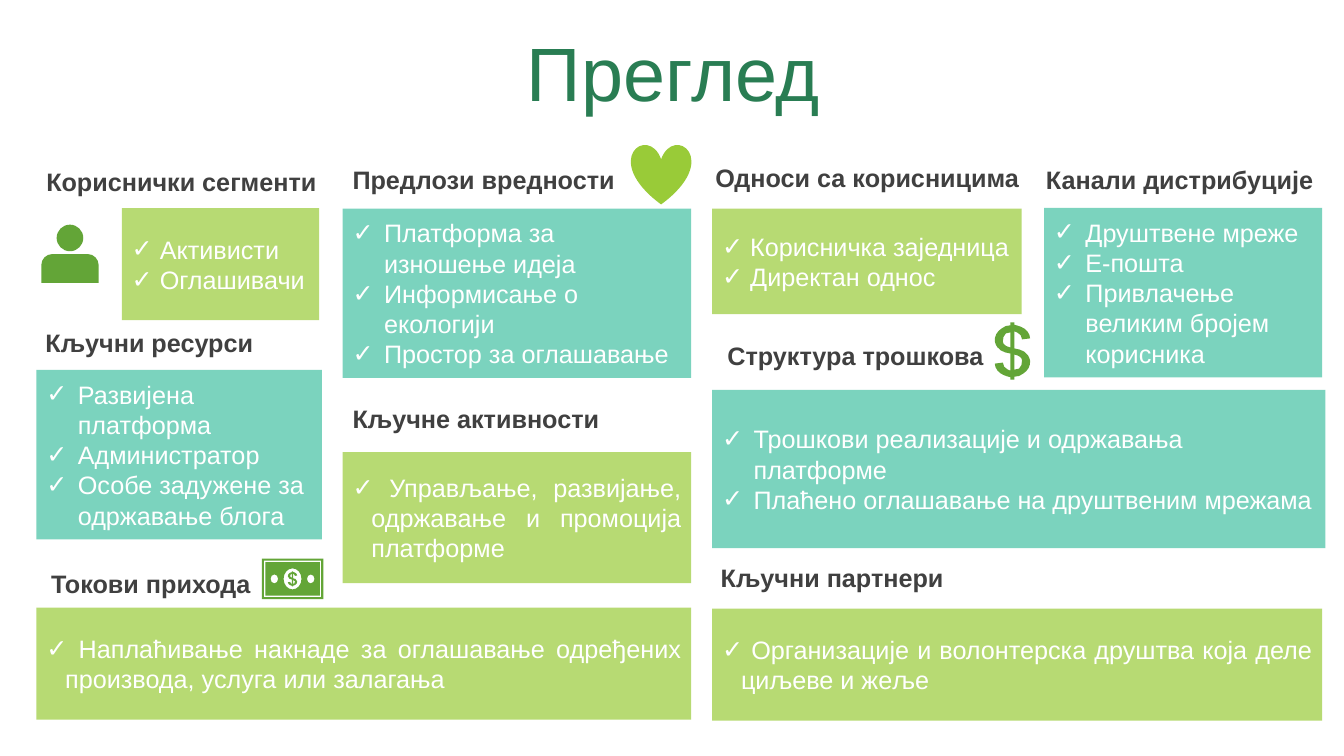
from lxml.etree import SubElement
from pptx import Presentation
from pptx.dml.color import RGBColor
from pptx.enum.shapes import MSO_SHAPE
from pptx.enum.text import MSO_ANCHOR, MSO_AUTO_SIZE, PP_ALIGN
from pptx.oxml.ns import qn
from pptx.util import Pt

WHITE = RGBColor(0xFF, 0xFF, 0xFF)
GRAY = RGBColor(0x40, 0x40, 0x40)
PINE = RGBColor(0x29, 0x7D, 0x53)
LIME = RGBColor(0x99, 0xCB, 0x38)
TEAL = RGBColor(0x44, 0xC1, 0xA3)
LEAF = RGBColor(0x63, 0xA5, 0x37)

TITLE = {"name": "Arial", "size": Pt(54), "bold": False}
LABEL = {"name": "Arial", "size": Pt(18), "bold": True}
ITEM = {"name": "Arial", "size": Pt(18), "bold": False}

LABELS = [
    ("Кориснички сегменти", 26, 115),
    ("Предлози вредности", 244.75, 114),
    ("Односи са корисницима", 504, 112.5),
    ("Канали дистрибуције", 740, 114),
    ("Кључни ресурси", 25.4, 230.5),
    ("Структура трошкова", 512.5, 239.5),
    ("Кључне активности", 244.75, 284.75),
    ("Токови прихода", 29.5, 402.5),
    ("Кључни партнери", 507.75, 398),
]

# Lime panels are justified with a narrow indent, teal ones left-aligned.
PANELS = [
    (LIME, (87, 148.75, 141, 80), ["Активисти", "Оглашивачи"]),
    (TEAL, (244.75, 149, 249, 121),
     ["Платформа за изношење идеја", "Информисање о екологији",
      "Простор за оглашавање"]),
    (LIME, (508.75, 149, 221, 75.5),
     ["Корисничка заједница", "Директан однос"]),
    (TEAL, (745.75, 148.5, 198.75, 121),
     ["Друштвене мреже", "Е-пошта", "Привлачење великим бројем корисника"]),
    (TEAL, (26, 264.25, 204, 121),
     ["Развијена платформа", "Администратор",
      "Особе задужене за одржавање блога"]),
    (LIME, (244.75, 323, 249, 93.5),
     ["Управљање, развијање, одржавање и промоција платформе"]),
    (TEAL, (508.75, 278.5, 438, 113),
     ["Трошкови реализације и одржавања платформе",
      "Плаћено оглашавање на друштвеним мрежама"]),
    (LIME, (26, 434, 467.75, 80),
     ["Наплаћивање накнаде за оглашавање одређених производа, "
      "услуга или залагања"]),
    (LIME, (508.75, 434.75, 435.75, 80),
     ["Организације и волонтерска друштва која деле циљеве и жеље"]),
]

# Half of the dollar sign about its centre; the other half is a half turn of it.
# Pairs are line ends, sixes are cubic curves.
HALF = [(-2, -28.5), (2, -28.5), (2, -26), (4, -25.5, 6, -25, 8.5, -24),
        (13.5, -22, 17.5, -17.5, 17.5, -12.5), (9.5, -11.5),
        (9.5, -14.5, 7.5, -17.5, 4.5, -18.5), (4, -19, 3, -19.5, 2, -19.5),
        (2, -2.5), (8.5, -1.5, 15.5, 0.5, 17.5, 9.5),
        (18, 14.5, 15.5, 19.5, 10.5, 22.5), (8, 24.5, 5.5, 25.5, 2, 25.5)]
BOWL = [(2, 3.5), (2, 18.5), (3.5, 18.5, 5, 18, 6.5, 17.5),
        (8.5, 15.5, 10, 12.5, 9.5, 9.5), (9.5, 6.5, 6.5, 4.5, 2, 3.5)]
TORSO = [(29.5, 202), (29.5, 189.5), (29.5, 185, 33, 181.5, 37.5, 181.5),
         (62.5, 181.5), (67, 181.5, 70.5, 185, 70.5, 189.5), (70.5, 202)]
ROUND = [(1, 0), (1, 0.55, 0.55, 1, 0, 1), (-0.55, 1, -1, 0.55, -1, 0),
         (-1, -0.55, -0.55, -1, 0, -1), (0.55, -1, 1, -0.55, 1, 0)]


def fit(loop, x, y, wide, high):
    """Scale a loop about zero, then move it to x, y."""
    return [tuple(y + v * high if i % 2 else x + v * wide
                  for i, v in enumerate(step)) for step in loop]


def frame(left, top, width, height):
    right, low = left + width, top + height
    return [(left, top), (right, top), (right, low), (left, low)]


def dollar(x, y, scale):
    """Outline and two bowls of a dollar sign centred on x, y."""
    loops = [HALF + fit(HALF, 0, 0, -1, -1), BOWL, fit(BOWL, 0, 0, -1, -1)]
    return [fit(loop, x, y, scale, scale) for loop in loops]


def paint(shape, color):
    shape.shadow.inherit = False
    shape.fill.solid()
    shape.fill.fore_color.rgb = color
    shape.line.fill.background()


def bend(shape, loops):
    """Join the three lines that stand for each curve into that curve."""
    lines = iter(list(shape._element.iter(qn("a:lnTo"))))
    for loop in loops:
        for step in loop[1:]:
            batch = [next(lines) for _ in range(len(step) // 2)]
            if len(batch) == 1:
                continue
            owner = batch[0].getparent()
            curve = SubElement(owner, qn("a:cubicBezTo"))
            batch[0].addprevious(curve)
            for line in batch:
                curve.append(line[0])
                owner.remove(line)


def add_icon(slide, loops):
    pen = None
    for loop in loops:
        dots = [(Pt(step[i]), Pt(step[i + 1]))
                for step in loop for i in range(0, len(step), 2)]
        if pen is None:
            pen = slide.shapes.build_freeform(*dots[0])
        else:
            pen.move_to(*dots[0])
        pen.add_line_segments(dots[1:], close=True)
    shape = pen.convert_to_shape()
    bend(shape, loops)
    paint(shape, LEAF)


def write(para, text, style, color):
    run = para.add_run()
    run.text = text
    for key, value in style.items():
        setattr(run.font, key, value)
    run.font.color.rgb = color


def add_title(slide, text):
    title = slide.shapes.title
    place = dict(left=Pt(25.25), top=Pt(26.5), width=Pt(911.5), height=Pt(57))
    for key, value in place.items():
        setattr(title, key, value)
    body = title.text_frame
    body.auto_size = MSO_AUTO_SIZE.NONE
    body.vertical_anchor = MSO_ANCHOR.MIDDLE
    para = body.paragraphs[0]
    para.alignment = PP_ALIGN.CENTER
    para.line_spacing = 0.9
    write(para, text, TITLE, PINE)


def add_label(slide, text, left, top):
    box = slide.shapes.add_textbox(Pt(left), Pt(top), Pt(249), Pt(29))
    body = box.text_frame
    body.word_wrap = True
    body.auto_size = MSO_AUTO_SIZE.SHAPE_TO_FIT_TEXT
    write(body.paragraphs[0], text, LABEL, GRAY)


def add_check(para, indent):
    props = para._p.get_or_add_pPr()
    props.set("marL", str(Pt(indent)))
    props.set("indent", str(-Pt(indent)))
    SubElement(props, qn("a:buFont")).set("typeface", "Arial")
    SubElement(props, qn("a:buChar")).set("char", "✓")


def add_panel(slide, color, place, items):
    shape = slide.shapes.add_shape(MSO_SHAPE.RECTANGLE, *map(Pt, place))
    paint(shape, color)
    tint = shape.fill._xPr.find(".//" + qn("a:srgbClr"))
    SubElement(tint, qn("a:alpha")).set("val", "70000")
    lime = color == LIME
    body = shape.text_frame
    body.word_wrap = True
    body.vertical_anchor = MSO_ANCHOR.MIDDLE
    for i, item in enumerate(items):
        para = body.add_paragraph() if i else body.paragraphs[0]
        para.alignment = PP_ALIGN.JUSTIFY if lime else PP_ALIGN.LEFT
        add_check(para, 13.5 if lime else 22.5)
        write(para, " " + item if lime else item, ITEM, WHITE)


def main():
    deck = Presentation()
    deck.slide_width, deck.slide_height = Pt(960), Pt(540)
    slide = deck.slides.add_slide(deck.slide_layouts[5])
    add_title(slide, "Преглед")
    for label in LABELS:
        add_label(slide, *label)
    for panel in PANELS:
        add_panel(slide, *panel)
    heart = slide.shapes.add_shape(
        MSO_SHAPE.HEART, Pt(450.75), Pt(103), Pt(43), Pt(43))
    paint(heart, LIME)
    add_icon(slide, [TORSO, fit(ROUND, 50, 170, 9.5, 9.5)])
    add_icon(slide, dollar(723.25, 250.75, 0.72))
    note = [frame(187 + d, 399 + d, 44 - 2 * d, 29 - 2 * d)
            for d in (0, 1.5, 2.5)]
    holes = [fit(ROUND, 209 + d, 413.5, w, h)
             for d, w, h in ((-13, 2.7, 3.2), (0, 6.4, 7.5), (13, 2.7, 3.2))]
    add_icon(slide, note + holes + dollar(209, 413.5, 0.19))
    deck.save("out.pptx")


if __name__ == "__main__":
    main()
